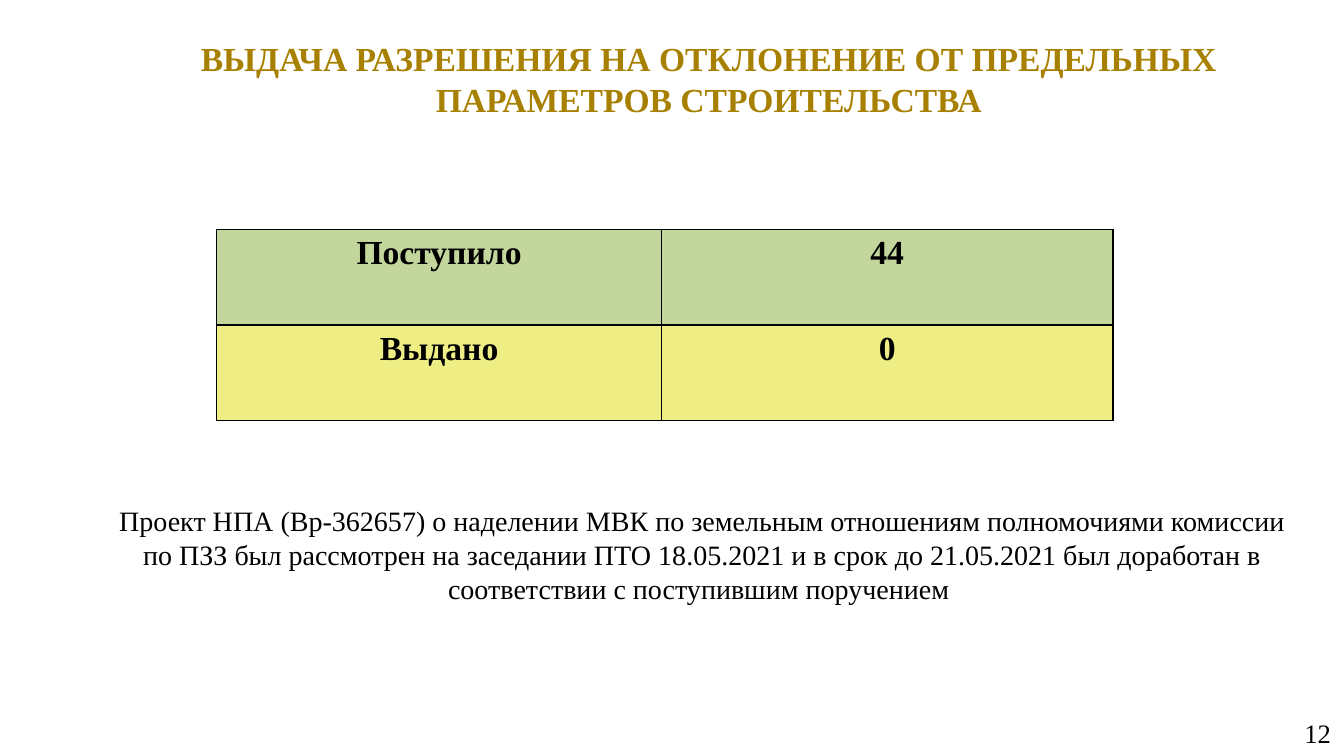
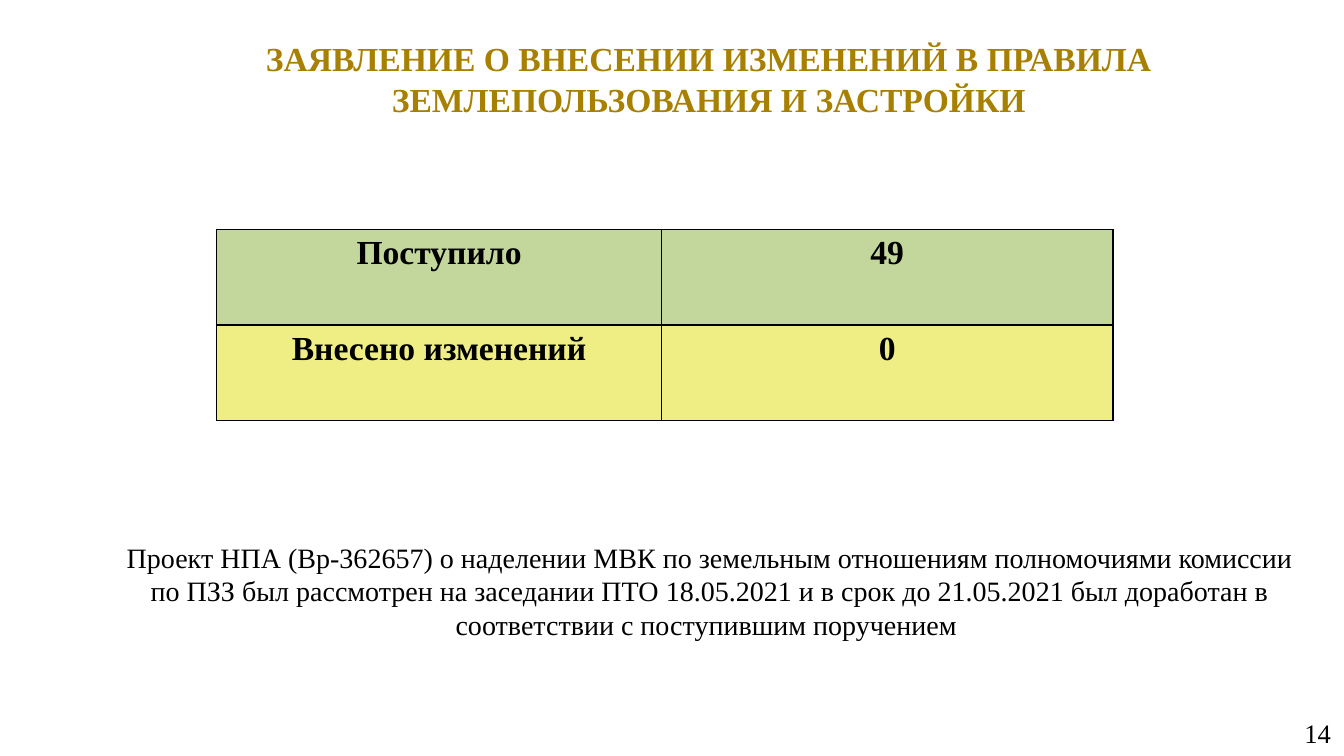
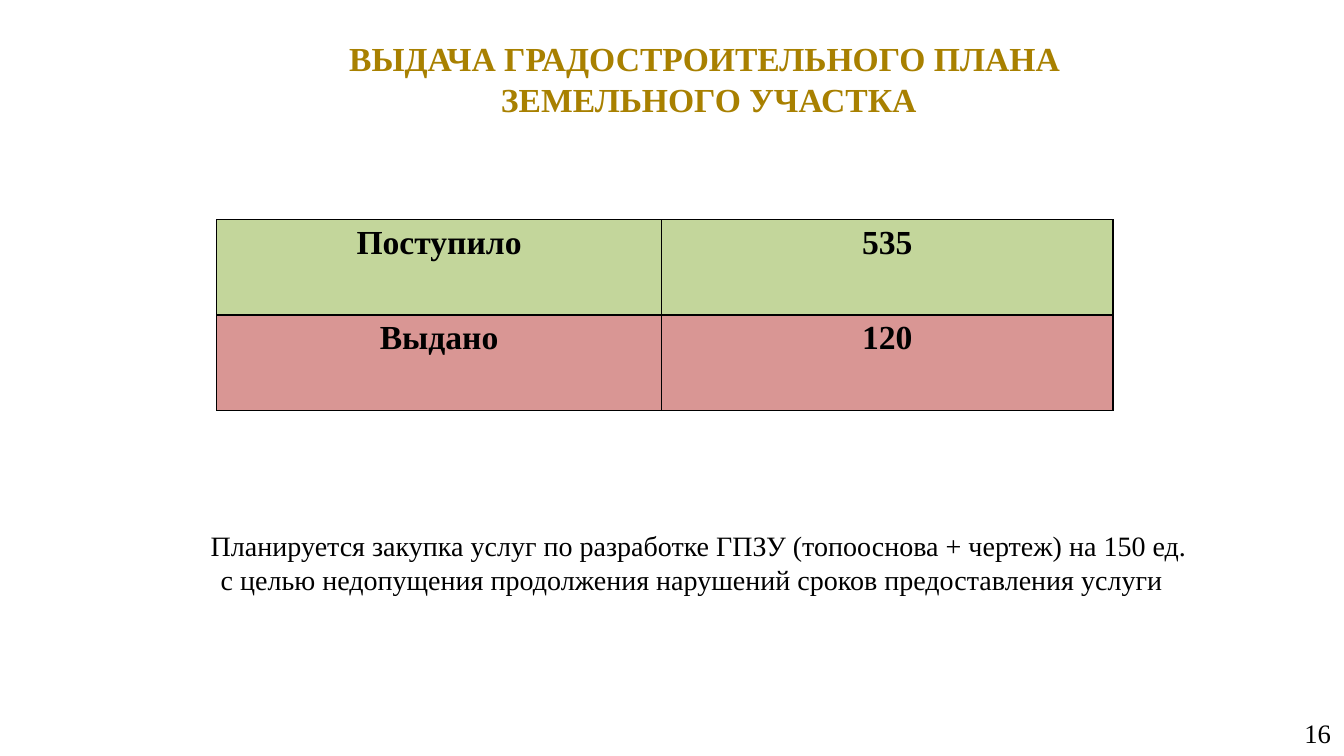
from lxml.etree import SubElement
from pptx import Presentation
from pptx.dml.color import RGBColor
from pptx.enum.text import MSO_ANCHOR, PP_ALIGN
from pptx.oxml.ns import qn
from pptx.util import Inches, Pt

FONT = "Times New Roman"
GOLD = RGBColor(0xA8, 0x80, 0x00)
BLACK = RGBColor(0, 0, 0)
GREEN = RGBColor(0xC3, 0xD6, 0x9B)
YELLOW = RGBColor(0xEE, 0xEE, 0x84)
RED = RGBColor(0xD9, 0x96, 0x94)

DRAFT_NOTE = (
    "Проект НПА (Вр-362657) о наделении МВК по земельным отношениям полномочиями комиссии "
    "по ПЗЗ был рассмотрен на заседании ПТО 18.05.2021 и в срок до 21.05.2021 был доработан "
    "в соответствии с поступившим поручением "
)
PLAN_NOTE = [
    "Планируется закупка услуг по разработке ГПЗУ (топооснова + чертеж) на 150 ед. ",
    "с целью недопущения продолжения нарушений сроков предоставления услуги",
]


class Deck:
    """Slides in one shared style, measured in percent of the slide's size."""

    def __init__(self):
        self.prs = Presentation()
        self.prs.slide_width, self.prs.slide_height = Inches(13.33), Inches(7.5)
        self.s = None

    def x(self, share):
        return round(self.prs.slide_width * share / 100)

    def y(self, share):
        return round(self.prs.slide_height * share / 100)

    def add_runs(self, p, text, size, color=BLACK, bold=False, align=PP_ALIGN.CENTER):
        p.alignment = align
        for i, line in enumerate(text.split("\n")):
            if i:
                p.add_line_break()
            r = p.add_run()
            r.text = line
            r.font.name, r.font.size, r.font.bold = FONT, Pt(size), bold
            r.font.color.rgb = color

    def text(self, box, paragraphs, size, **style):
        left, top, width, height = box
        sp = self.s.shapes.add_textbox(self.x(left), self.y(top), self.x(width), self.y(height))
        tf = sp.text_frame
        tf.word_wrap = True
        tf.vertical_anchor = MSO_ANCHOR.MIDDLE
        tf.margin_left = tf.margin_right = Inches(0.13)
        tf.margin_top = tf.margin_bottom = Inches(0.07)
        for i, text in enumerate(paragraphs):
            p = tf.add_paragraph() if i else tf.paragraphs[0]
            self.add_runs(p, text, size, **style)
        return tf

    def slide(self, title, number):
        self.s = self.prs.slides.add_slide(self.prs.slide_layouts[6])
        self.text((9.83, 3.73, 85.82, 13.33), [title], 24, color=GOLD, bold=True)
        self.text((76.67, 94.27, 23.33, 5.33), [str(number)], 19, align=PP_ALIGN.RIGHT)

    def note(self, paragraphs, width, height):
        return self.text((7.58, 66.27, width, height), paragraphs, 20)

    def border(self, cell):
        tc_pr = cell._tc.get_or_add_tcPr()
        for side in ("lnL", "lnR", "lnT", "lnB"):
            ln = SubElement(tc_pr, qn(f"a:{side}"), w=str(Pt(0.96)))
            SubElement(SubElement(ln, qn("a:solidFill")), qn("a:srgbClr"), val=str(BLACK))

    def table(self, top, rows):
        widths, row_height = (33.08, 33.61), 12.6
        frame = self.s.shapes.add_table(
            len(rows), len(widths), self.x(16.13), self.y(top),
            self.x(sum(widths)), self.y(row_height * len(rows)))
        table = frame.table
        table.first_row = table.horz_banding = False
        for column, width in zip(table.columns, widths):
            column.width = self.x(width)
        for i, (label, value, color) in enumerate(rows):
            table.rows[i].height = self.y(row_height)
            for j, text in enumerate((label, str(value))):
                cell = table.cell(i, j)
                cell.margin_left = cell.margin_right = Inches(0.13)
                cell.margin_top = cell.margin_bottom = Inches(0.05)
                self.border(cell)
                cell.fill.solid()
                cell.fill.fore_color.rgb = color
                self.add_runs(cell.text_frame.paragraphs[0], text, 24, bold=True)


def main():
    deck = Deck()

    deck.slide("ВЫДАЧА РАЗРЕШЕНИЯ НА ОТКЛОНЕНИЕ ОТ ПРЕДЕЛЬНЫХ ПАРАМЕТРОВ СТРОИТЕЛЬСТВА", 12)
    deck.table(30.4, [("Поступило", 44, GREEN), ("Выдано", 0, YELLOW)])
    deck.note([DRAFT_NOTE], 89.35, 14.13)

    deck.slide("ЗАЯВЛЕНИЕ О ВНЕСЕНИИ ИЗМЕНЕНИЙ В ПРАВИЛА ЗЕМЛЕПОЛЬЗОВАНИЯ И ЗАСТРОЙКИ", 14)
    deck.table(30.4, [("Поступило", 49, GREEN), ("Внесено изменений", 0, YELLOW)])
    deck.note([DRAFT_NOTE], 90.47, 23.73)

    deck.slide("ВЫДАЧА ГРАДОСТРОИТЕЛЬНОГО ПЛАНА \nЗЕМЕЛЬНОГО УЧАСТКА", 16)
    deck.table(29.07, [("Поступило", 535, GREEN), ("Выдано", 120, RED)])
    tf = deck.note(PLAN_NOTE, 89.35, 16.27)
    tf.paragraphs[1]._p.get_or_add_pPr().set("marR", str(Pt(15)))

    deck.prs.save("out.pptx")


if __name__ == "__main__":
    main()
